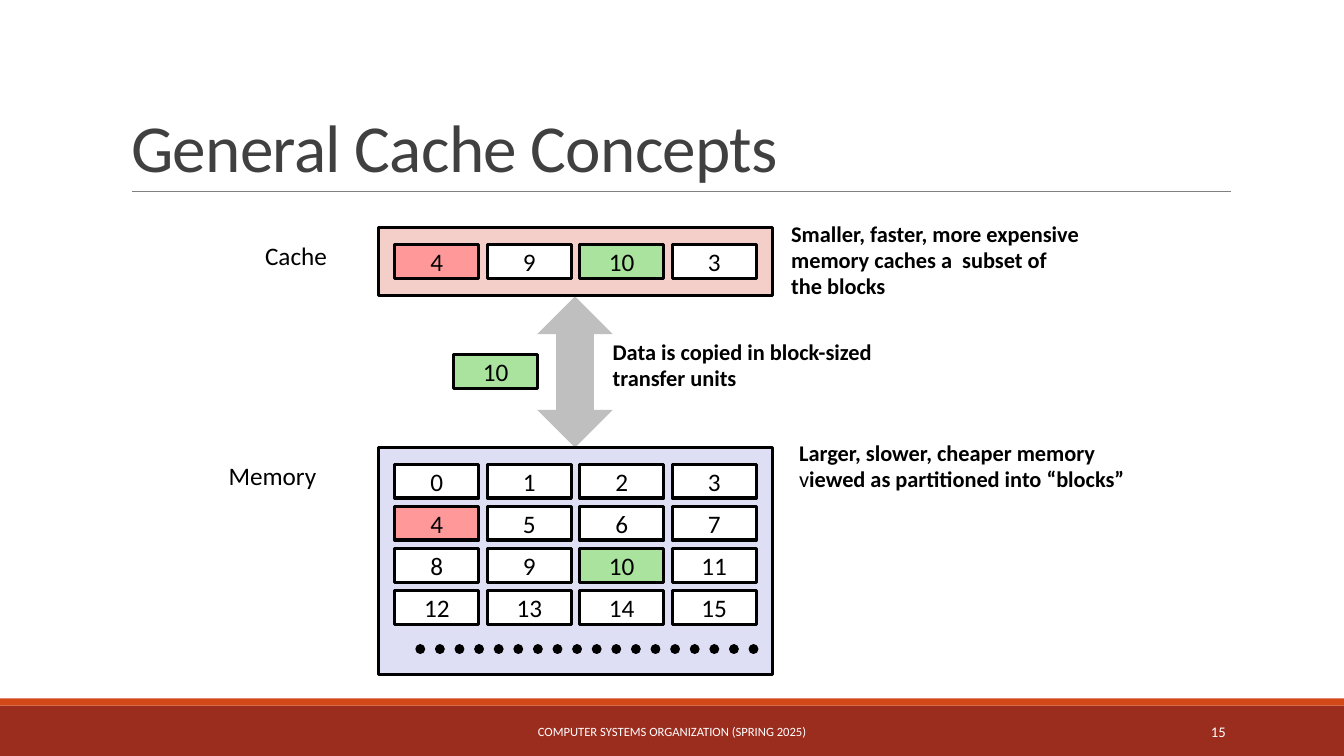
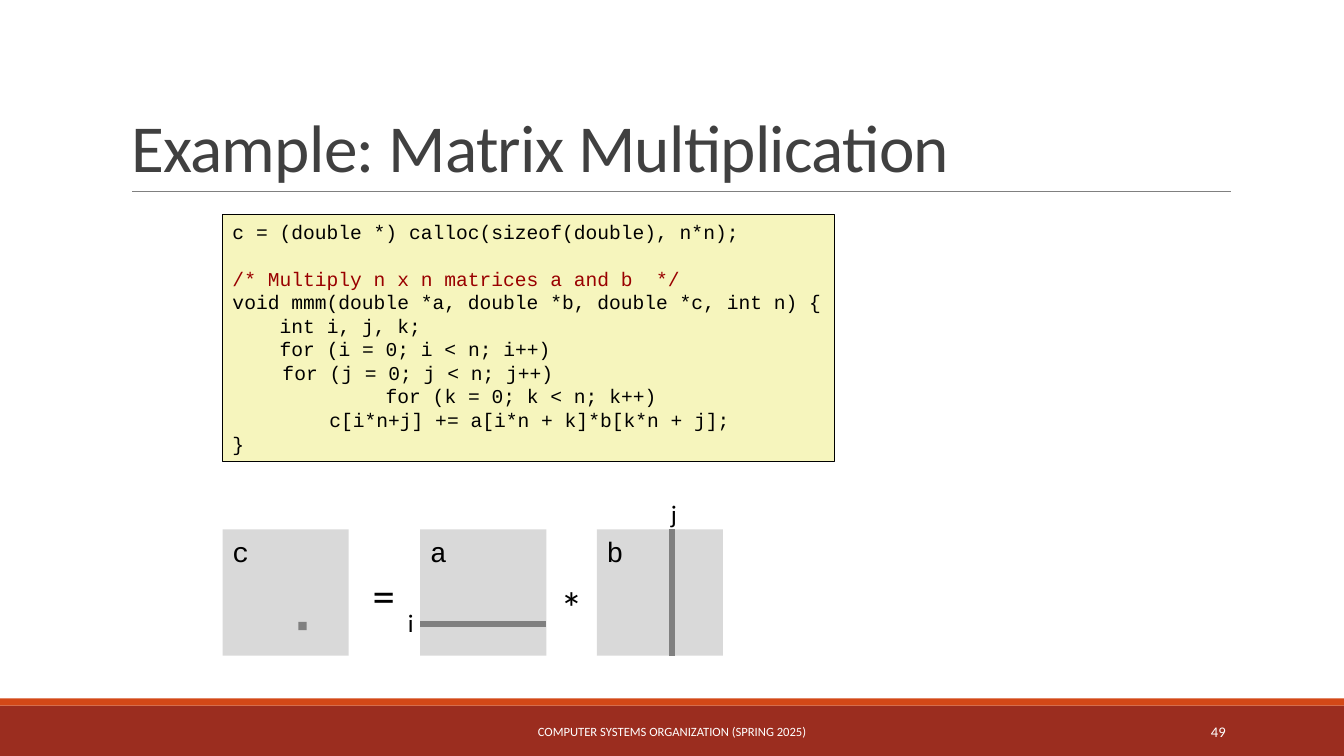
from lxml.etree import SubElement
from pptx import Presentation
from pptx.dml.color import RGBColor
from pptx.enum.dml import MSO_LINE as Dash
from pptx.enum.shapes import MSO_CONNECTOR as Conn, MSO_SHAPE as Geo
from pptx.enum.text import MSO_ANCHOR as Anchor, MSO_AUTO_SIZE as Auto, PP_ALIGN as Align
from pptx.oxml.ns import qn
from pptx.util import Cm, Pt

INK = {
    "band": "9B2D1F", "strip": "D34817", "rule": "808080", "title": "404040",
    "text": "000000", "white": "FFFFFF", "arrow": "BFBFBF", "matrix": "D9D9D9",
    "memory": "DEDFF5", "cache": "F4CEC9", "red": "FF9999", "green": "A9E39D",
    "code": "F6F5BD", "remark": "990000",
}
SANS, MONO = "Calibri", "Courier New"
FOOTER = "COMPUTER SYSTEMS ORGANIZATION (SPRING 2025)"

MARKS = {4: "red", 10: "green"}
PANELS = [
    ("cache", 5.74, 1.7, [[4, 9, 10, 3]]),
    ("memory", 11.28, 5.72, [range(n, n + 4) for n in range(0, 16, 4)]),
]
PANEL_X, PANEL_W = 9.53, 9.95
CELL_W, CELL_H = 2.12, 0.85
STEP_X, STEP_Y, PAD = 2.33, 1.06, 0.42
LABELS = [("Cache", 6.43, 5.94, 2.08), ("Memory", 5.51, 11.48, 2.74)]
NOTES = [
    (["Smaller, faster, more expensive", "memory caches a  subset of", "the blocks"],
     (19.69, 5.44, 8.15, 2.26), False),
    (["Data is copied in block-sized transfer units"],
     (15.19, 8.41, 7.87, 1.6), True),
    (["Larger, slower, cheaper memory", "viewed as partitioned into “blocks”"],
     (19.89, 10.95, 8.89, 1.6), False),
]

CODE = [
    ("c = (double *) calloc(sizeof(double), n*n);", 0),
    ("/* Multiply n x n matrices a and b  */", 0),
    ("void mmm(double *a, double *b, double *c, int n) {", 0),
    ("int i, j, k;", 1.19),
    ("for (i = 0; i < n; i++)", 1.19),
    ("for (j = 0; j < n; j++)", 1.26),
    ("for (k = 0; k < n; k++)", 3.86),
    ("c[i*n+j] += a[i*n + k]*b[k*n + j];", 2.44),
    ("}", 0),
]
CODE_LINE = 16.8
SIDE, TOP = 3.18, 13.34
MATRICES = {"c": 5.61, "a": 10.59, "b": 15.04}
SIGNS = [
    ("=", 32, 9.14, 14.17, 1.09), ("*", 32, 13.87, 14.48, 1.09),
    ("i", 18, 10.03, 15.19, 0.66), ("j", 18, 16.66, 12.42, 0.69),
]


def paint(ink):
    return RGBColor.from_string(INK[ink])


def style(para, size, ink="text", face=SANS, bold=False, align=Align.LEFT):
    font = para.font
    font.size, font.name, font.bold = Pt(size), face, bold
    font.color.rgb = paint(ink)
    para.alignment = align


def block(slide, place, fill, edge=0, geo=Geo.RECTANGLE):
    shape = slide.shapes.add_shape(geo, *map(Cm, place))
    shape.shadow.inherit = False
    shape.fill.solid()
    shape.fill.fore_color.rgb = paint(fill)
    if edge:
        shape.line.color.rgb = paint("text")
        shape.line.width = Pt(edge)
    else:
        shape.line.fill.background()
    return shape


def stroke(slide, ends, ink, width):
    line = slide.shapes.add_connector(Conn.STRAIGHT, *map(Cm, ends))
    line.line.color.rgb = paint(ink)
    line.line.width = Pt(width)
    SubElement(line._element.spPr, qn("a:effectLst"))
    return line


def label(slide, lines, place, size, wrap=False, anchor=Anchor.TOP, **look):
    frame = slide.shapes.add_textbox(*map(Cm, place)).text_frame
    frame.word_wrap = wrap
    frame.vertical_anchor = anchor
    frame.text = "\n".join(lines)
    for para in frame.paragraphs:
        style(para, size, **look)
    return frame


def cell(slide, num, x, y):
    shape = block(slide, (x, y, CELL_W, CELL_H), MARKS.get(num, "white"), 2.25)
    frame = shape.text_frame
    frame.text = str(num)
    frame.vertical_anchor = Anchor.MIDDLE
    style(frame.paragraphs[0], 18, align=Align.CENTER)


def start(deck, title, page):
    slide = deck.slides.add_slide(deck.slide_layouts[5])
    block(slide, (0, 17.78, 33.87, 1.27), "band")
    block(slide, (0, 17.6, 33.87, 0.18), "strip")
    stroke(slide, (3.33, 4.83, 31.01, 4.83), "rule", 0.5)
    head = slide.shapes.title
    head.left, head.top, head.width, head.height = map(Cm, (3.05, 0.79, 27.94, 4.04))
    frame = head.text_frame
    frame.text = title
    frame.auto_size = Auto.NONE
    frame.vertical_anchor = Anchor.BOTTOM
    para = frame.paragraphs[0]
    style(para, 48, "title")
    para.line_spacing = 0.85
    para.runs[0]._r.get_or_add_rPr().set("spc", "-50")
    for text, x, width, size, align in [
        (FOOTER, 10.24, 13.39, 9, Align.CENTER),
        (str(page), 27.51, 3.63, 10.5, Align.RIGHT),
    ]:
        label(slide, [text], (x, 17.93, width, 1.02), size, True, Anchor.MIDDLE,
              ink="white", align=align)
    return slide


def caching(deck):
    slide = start(deck, "General Cache Concepts", 15)
    block(slide, (13.54, 7.47, 1.9, 3.81), "arrow", geo=Geo.UP_DOWN_ARROW)
    for fill, top, height, rows in PANELS:
        block(slide, (PANEL_X, top, PANEL_W, height), fill, 2.25)
        for r, row in enumerate(rows):
            for c, num in enumerate(row):
                cell(slide, num, PANEL_X + PAD + c * STEP_X, top + PAD + r * STEP_Y)
    cell(slide, 10, 11.43, 8.94)
    dots = stroke(slide, (10.59, 16.36, 19.05, 16.36), "text", 7)
    dots.line.dash_style = Dash.ROUND_DOT
    dots._element.spPr.find(qn("a:ln")).set("cap", "rnd")
    for text, x, y, width in LABELS:
        label(slide, [text], (x, y, width, 1.02), 18)
    for lines, place, wrap in NOTES:
        frame = label(slide, lines, place, 16, wrap, Anchor.MIDDLE, bold=True)
        for para in frame.paragraphs:
            para.line_spacing = 0.98
            if para.text.startswith("v"):
                rest = para.runs[0].text[1:]
                para.runs[0].text = "v"
                para.runs[0].font.bold = False
                para.add_run().text = rest


def matrices(deck):
    slide = start(deck, "Example: Matrix Multiplication", 49)
    frame = block(slide, (5.61, 5.41, 15.42, 6.22), "code", 1).text_frame
    frame.word_wrap = False
    frame.vertical_anchor = Anchor.TOP
    frame.text = "\n".join(text for text, _ in CODE)
    for para, (text, indent) in zip(frame.paragraphs, CODE):
        remark = text.startswith("/*")
        style(para, 14, "remark" if remark else "text", MONO)
        para.line_spacing = Pt(CODE_LINE)
        para.space_before = Pt(CODE_LINE if remark else 0)
        props = para._p.get_or_add_pPr()
        props.set("marL", str(Cm(indent)))
        props.set("indent", "0")
    for name, x in MATRICES.items():
        frame = block(slide, (x, TOP, SIDE, SIDE), "matrix").text_frame
        frame.text = name
        frame.vertical_anchor = Anchor.TOP
        style(frame.paragraphs[0], 20, face=MONO)
    row, col = TOP + 2.38, MATRICES["b"] + 1.9
    stroke(slide, (MATRICES["a"], row, MATRICES["a"] + SIDE, row), "rule", 4.5)
    stroke(slide, (col, TOP, col, TOP + SIDE), "rule", 4.5)
    block(slide, (MATRICES["c"] + 1.91, row - 0.05, 0.21, 0.21), "rule")
    for text, size, x, y, width in SIGNS:
        label(slide, [text], (x, y, width, 1.63 if size > 18 else 1.02), size)


def main():
    deck = Presentation()
    deck.slide_width, deck.slide_height = Cm(33.87), Cm(19.05)
    caching(deck)
    matrices(deck)
    deck.save("out.pptx")


if __name__ == "__main__":
    main()
